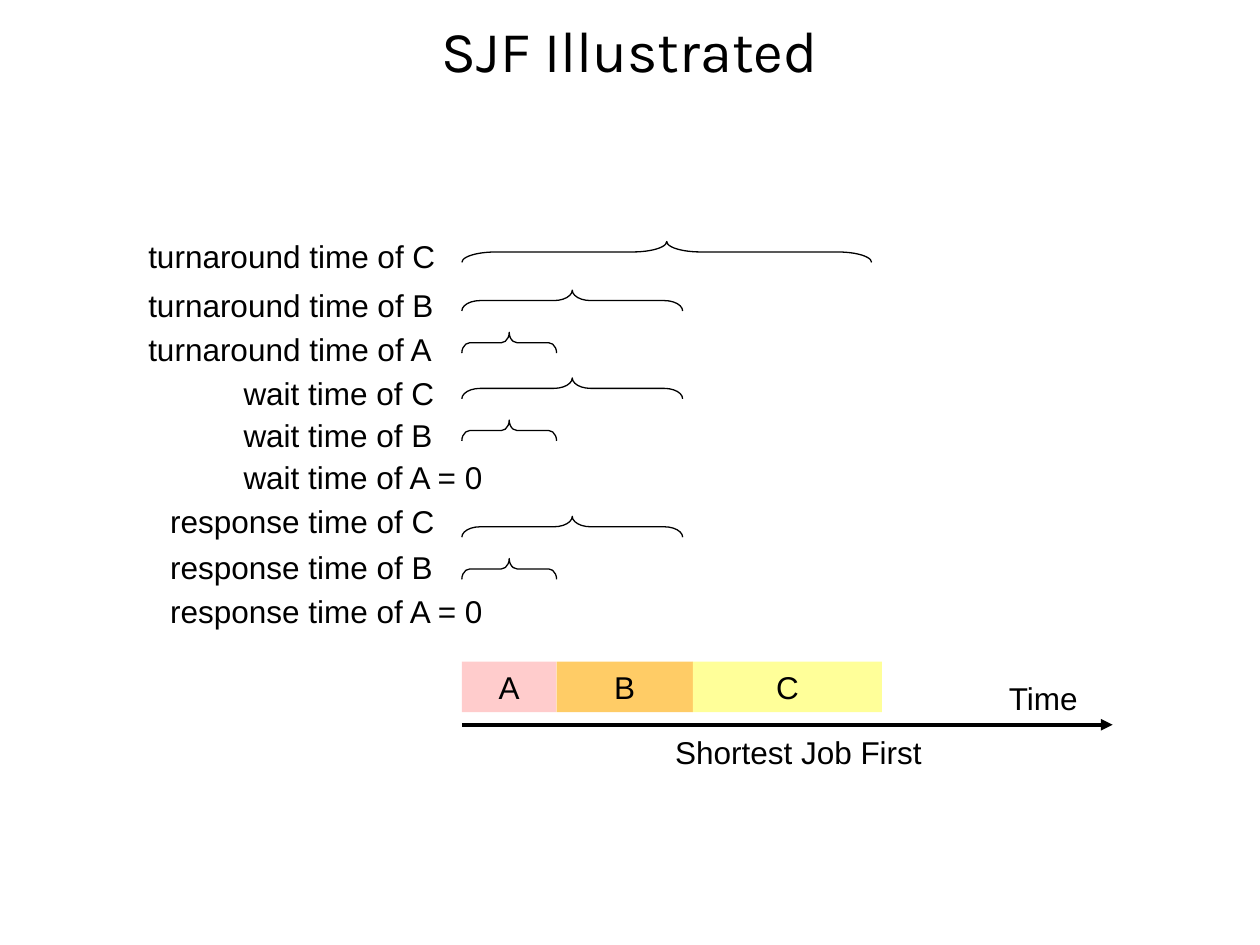
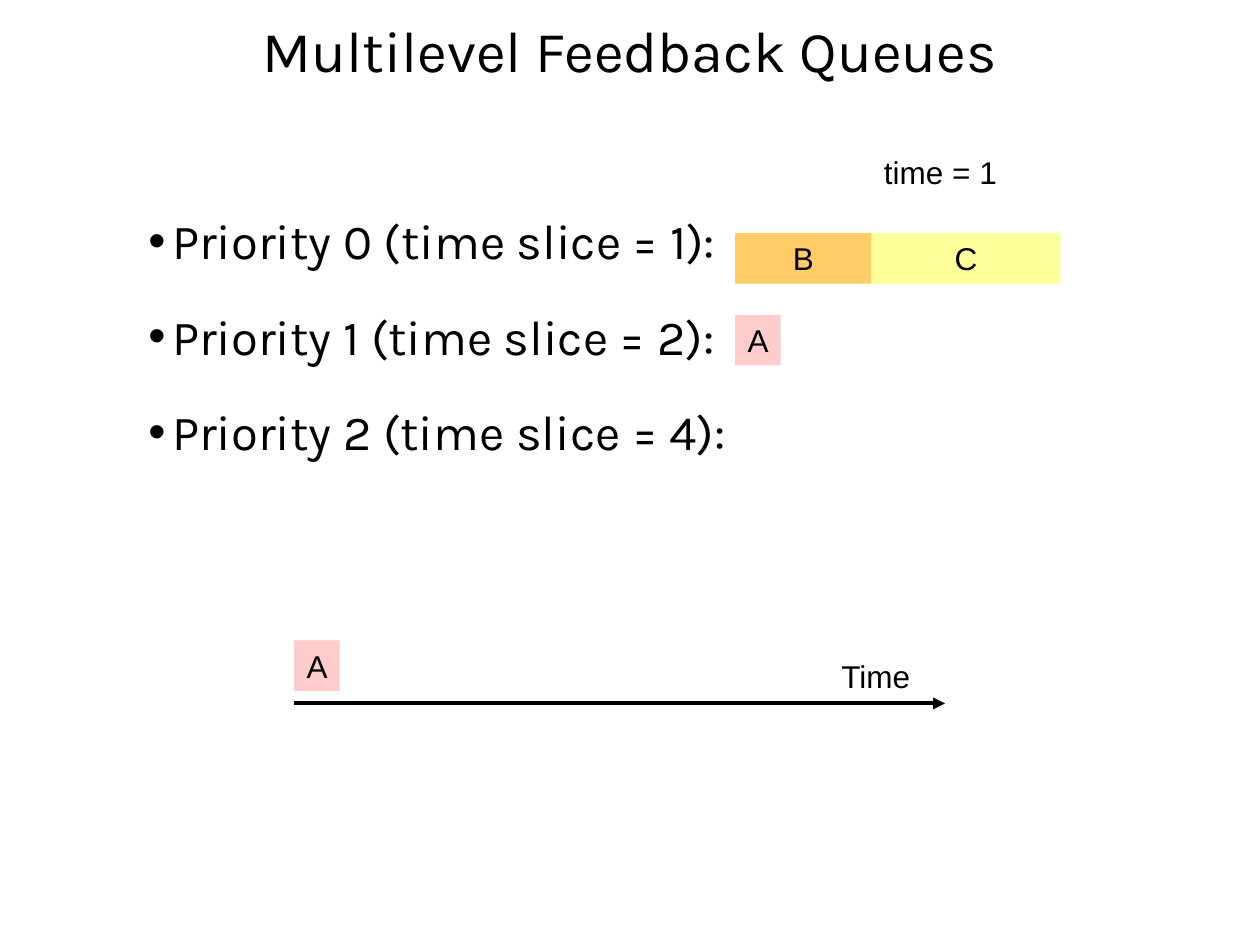
from dataclasses import dataclass

from lxml.etree import SubElement
from pptx import Presentation
from pptx.dml.color import RGBColor
from pptx.enum.shapes import MSO_CONNECTOR as Connector, MSO_SHAPE as Shape
from pptx.enum.text import MSO_ANCHOR as Anchor, MSO_AUTO_SIZE as AutoSize, PP_ALIGN as Align
from pptx.oxml.ns import qn
from pptx.util import Cm, Pt


@dataclass(frozen=True)
class Theme:
    ink: str = "000000"
    heading_font: str = "Karla"
    label_font: str = "Arial"
    title_size: float = 33
    bullet_size: float = 28
    label_size: float = 18
    axis_width: float = 2.25
    brace_width: float = 0.75
    job_a: str = "FFCCCC"
    job_b: str = "FFCC66"
    job_c: str = "FFFF99"


THEME = Theme()
JOB_COLOURS = {"A": THEME.job_a, "B": THEME.job_b, "C": THEME.job_c}
JOB_WIDTHS = {"A": 1.91, "B": 2.75, "C": 3.81}
SMALL_JOB_WIDTH = 0.92
ROW_HEIGHT = 1.02
BRACE_HEIGHT = 0.42
AXIS_LENGTH = 13.12
JOB_LIFT = 1.27  # from the top of a job down to the axis

LABEL = {"name": THEME.label_font, "size": Pt(THEME.label_size)}
TITLE = {"name": THEME.heading_font, "size": Pt(THEME.title_size)}
BULLET = {"name": THEME.heading_font, "size": Pt(THEME.bullet_size)}
FIT = {"word_wrap": False, "auto_size": AutoSize.SHAPE_TO_FIT_TEXT}

# Each group: left edge, then rows of text, top, width, brace top, brace length
MEASURES = [
    (2.74, [
        ("turnaround time of C", 4.65, 6.4, 4.87, 8.26),
        ("turnaround time of B", 5.64, 6.4, 5.85, 4.45),
        ("turnaround time of A", 6.53, 6.4, 6.7, 1.91),
    ]),
    (4.66, [
        ("wait time of C", 7.42, 4.45, 7.62, 4.45),
        ("wait time of B", 8.26, 4.45, 8.47, 1.91),
        ("wait time of A = 0", 9.1, 5.5, None, None),
    ]),
    (3.18, [
        ("response time of C", 9.99, 5.95, 10.41, 4.45),
        ("response time of B", 10.92, 5.95, 11.26, 1.91),
        ("response time of A = 0", 11.81, 7, None, None),
    ]),
]
PRIORITIES = [f"Priority {level} (time slice = {2 ** level}):" for level in range(3)]


def apply(target, values):
    for name, value in values.items():
        setattr(target, name, value)


def write(para, text, style):
    span = para.add_run()
    span.text = text
    apply(span.font, style)
    span.font.color.rgb = RGBColor.from_string(THEME.ink)


def add_text_box(page, left, top, width, height, frame):
    box = page.shapes.add_textbox(Cm(left), Cm(top), Cm(width), Cm(height))
    apply(box.text_frame, frame)
    return box.text_frame


def add_label(page, text, left, top, width):
    frame = add_text_box(page, left, top, width, ROW_HEIGHT, FIT)
    write(frame.paragraphs[0], text, LABEL)


def add_title(page, text):
    frame = add_text_box(page, 0.85, 0, 23.7, 2.16,
                         {"word_wrap": True, "vertical_anchor": Anchor.MIDDLE})
    para = frame.paragraphs[0]
    apply(para, {"alignment": Align.CENTER, "line_spacing": 0.9})
    write(para, text, TITLE)


def add_job(page, job, left, top, width):
    box = page.shapes.add_shape(Shape.RECTANGLE, Cm(left), Cm(top), Cm(width), Cm(ROW_HEIGHT))
    box.shadow.inherit = False
    box.fill.solid()
    box.fill.fore_color.rgb = RGBColor.from_string(JOB_COLOURS[job])
    box.line.fill.background()
    apply(box.text_frame, FIT)
    para = box.text_frame.paragraphs[0]
    para.alignment = Align.CENTER
    write(para, job, LABEL)


def add_job_row(page, jobs, left, top):
    """Place jobs end to end."""
    for job in jobs:
        add_job(page, job, left, top, JOB_WIDTHS[job])
        left += JOB_WIDTHS[job]


def add_brace(page, left, top, length):
    """Lay a left brace on its side, with its tip upwards."""
    shift = (length - BRACE_HEIGHT) / 2
    brace = page.shapes.add_shape(Shape.LEFT_BRACE, Cm(left + shift), Cm(top - shift),
                                  Cm(BRACE_HEIGHT), Cm(length))
    brace.rotation = 90
    brace.adjustments[0] = length / 12 / BRACE_HEIGHT
    brace.shadow.inherit = False
    brace.fill.background()
    brace.line.color.rgb = RGBColor.from_string(THEME.ink)
    brace.line.width = Pt(THEME.brace_width)


def add_time_axis(page, left, top):
    axis = page.shapes.add_connector(Connector.STRAIGHT, Cm(left), Cm(top),
                                     Cm(left + AXIS_LENGTH), Cm(top))
    axis.line.color.rgb = RGBColor.from_string(THEME.ink)
    axis.line.width = Pt(THEME.axis_width)
    SubElement(axis.line._get_or_add_ln(), qn("a:tailEnd"), type="triangle")
    SubElement(axis._element.spPr, qn("a:effectLst"))
    add_label(page, "Time", left + 10.78, top - 1.05, 2)


def add_bullets(page, lines, left, top, width, height):
    frame = add_text_box(page, left, top, width, height, {"word_wrap": True})
    for index, line in enumerate(lines):
        para = frame.add_paragraph() if index else frame.paragraphs[0]
        props = para._p.get_or_add_pPr()
        props.set("marL", str(Cm(0.48)))
        props.set("indent", str(Cm(-0.48)))
        SubElement(props, qn("a:buFont"), typeface=THEME.label_font)
        SubElement(props, qn("a:buChar"), char="•")
        apply(para, {"line_spacing": 1.4, "space_before": Pt(7.5 if index else 0)})
        write(para, line, BULLET)


def build_sjf(page):
    start, axis_top = 9.31, 14.61
    add_title(page, "SJF Illustrated")
    add_job_row(page, "ABC", start, axis_top - JOB_LIFT)
    add_time_axis(page, start, axis_top)
    add_label(page, "Shortest Job First", 13.36, 14.66, 5.6)
    for left, rows in MEASURES:
        for text, top, width, brace_top, length in rows:
            add_label(page, text, left, top, width)
            if length:
                add_brace(page, start, brace_top, length)


def build_feedback_queues(page):
    queue_left, start, axis_top = 14.82, 5.93, 14.18
    add_title(page, "Multilevel Feedback Queues")
    add_label(page, "time = 1", 17.57, 2.97, 2.9)
    add_job_row(page, "BC", queue_left, 4.7)
    add_job(page, "A", queue_left, 6.35, SMALL_JOB_WIDTH)
    add_job(page, "A", start, axis_top - JOB_LIFT, SMALL_JOB_WIDTH)
    add_time_axis(page, start, axis_top)
    add_bullets(page, PRIORITIES, 2.74, 3.65, 13.97, 5.72)


def main():
    deck = Presentation()
    apply(deck, {"slide_width": Cm(25.4), "slide_height": Cm(19.05)})
    for build in (build_sjf, build_feedback_queues):
        build(deck.slides.add_slide(deck.slide_layouts[6]))
    deck.save("out.pptx")


if __name__ == "__main__":
    main()
